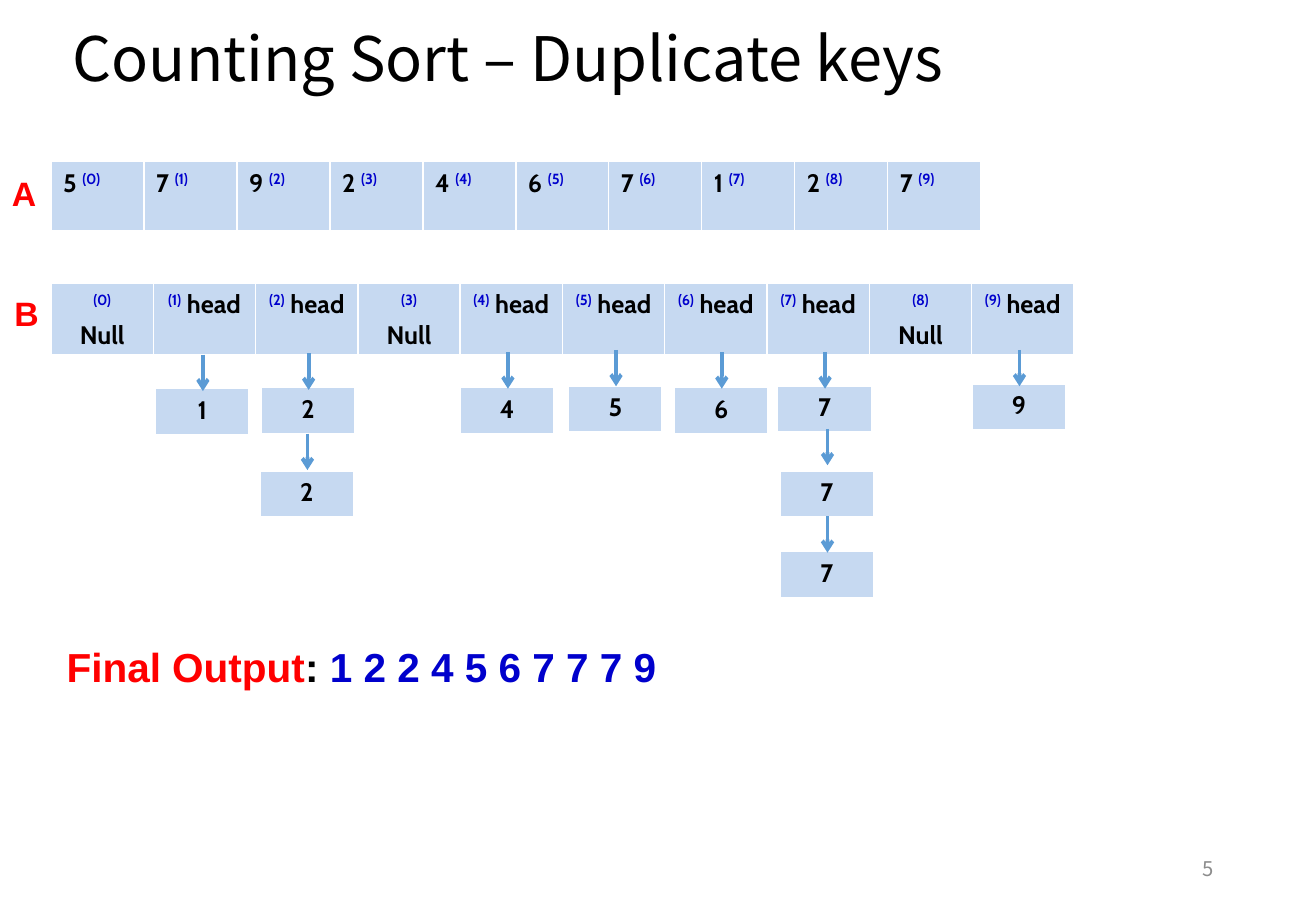
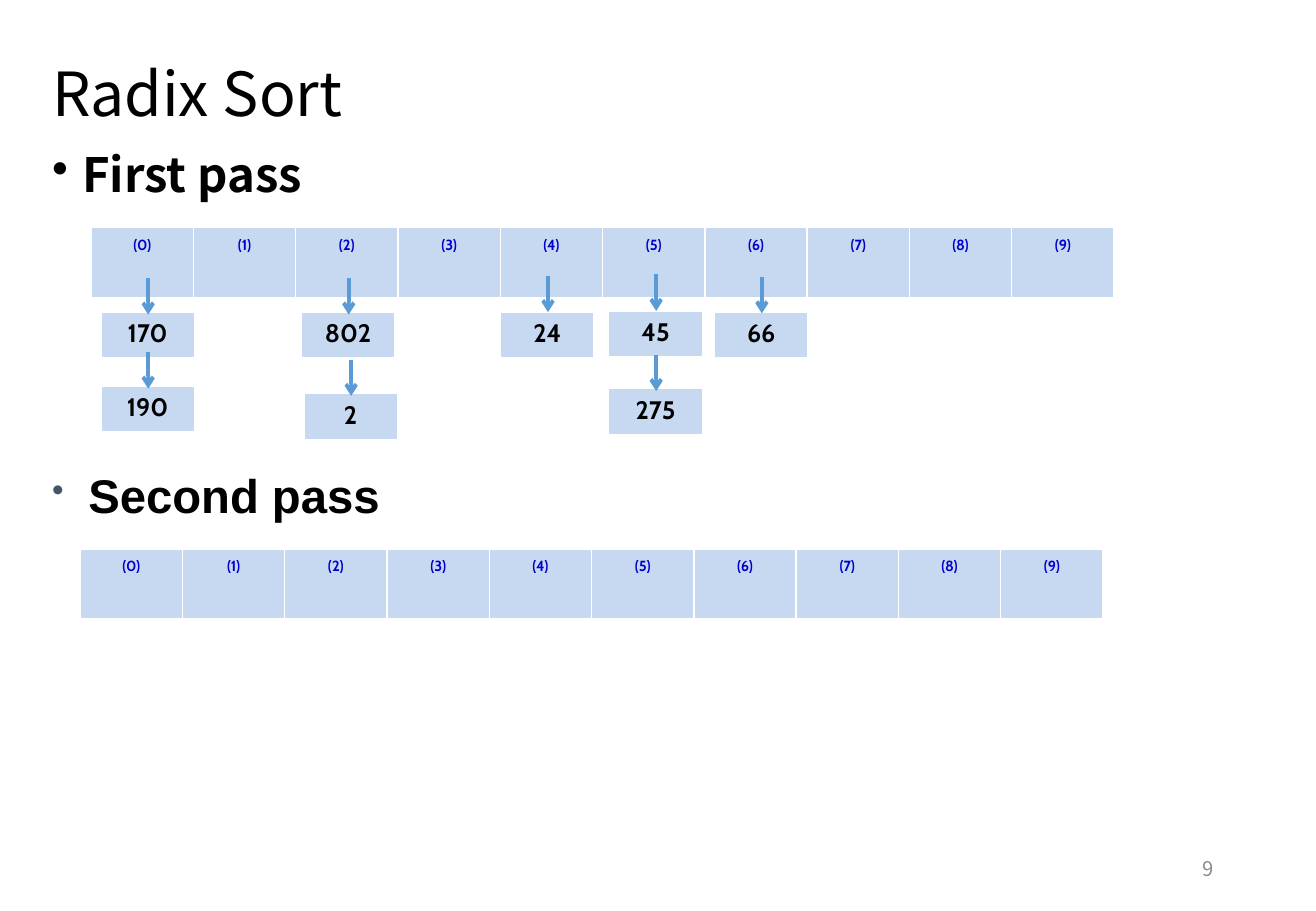
from lxml import etree
from pptx import Presentation
from pptx.dml.color import RGBColor
from pptx.enum.shapes import MSO_CONNECTOR
from pptx.enum.text import MSO_ANCHOR, MSO_AUTO_SIZE, PP_ALIGN
from pptx.oxml.ns import qn
from pptx.util import Emu, Pt

LEFT, CENTER, RIGHT = PP_ALIGN.LEFT, PP_ALIGN.CENTER, PP_ALIGN.RIGHT
MIDDLE = MSO_ANCHOR.MIDDLE
FIT_SHAPE = MSO_AUTO_SIZE.SHAPE_TO_FIT_TEXT
STRAIGHT = MSO_CONNECTOR.STRAIGHT

PX = 9144  # 100 px to the inch
COLORS = {
    "text": "000000", "key": "0000CC", "label": "FF0000", "cell": "C6D9F1",
    "border": "FFFFFF", "arrow": "5B9BD5", "number": "8C8C8C", "bullet": "44546A",
}
TITLE_FONT, CELL_FONT, LABEL_FONT = "Noto Sans CJK SC", "Cabin", "Arial"
CELL_SIZE = 15
BORDERS = {"a:lnL": 1, "a:lnR": 1, "a:lnT": 1, "a:lnB": 3}
NODE_W, NODE_H, ARROW_LEN = 77, 39, 30


def px(n):
    return Emu(n * PX)


def rgb(name):
    return RGBColor.from_string(COLORS[name])


# Text
def write(p, parts, font, size, bold=False, align=LEFT):
    """Fill a paragraph with (text, colour, raised) parts."""
    p.alignment = align
    for text, color, raised in parts:
        r = p.add_run()
        r.text = text
        f = r.font
        f.name, f.size, f.bold = font, Pt(size), bold
        f.color.rgb = rgb(color)
        if raised:
            r._r.get_or_add_rPr().set("baseline", "30000")


def add_text(slide, box, parts, font, size, bold=False, align=LEFT,
             spacing=None, anchor=None, fit=False):
    sp = slide.shapes.add_textbox(*map(px, box))
    tf = sp.text_frame
    tf.word_wrap = not fit
    if fit:
        tf.auto_size = FIT_SHAPE
    if anchor is not None:
        tf.vertical_anchor = anchor
    p = tf.paragraphs[0]
    if spacing:
        p.line_spacing = spacing
    write(p, parts, font, size, bold, align)
    return p


def add_title(slide, box, text, size):
    add_text(slide, box, [(text, "text", False)], TITLE_FONT, size,
             spacing=0.7, anchor=MIDDLE)


def add_number(slide, number):
    add_text(slide, (765, 695, 244, 40), [(number, "number", False)],
             TITLE_FONT, 12, align=RIGHT, anchor=MIDDLE)


def add_label(slide, box, parts, size):
    add_text(slide, box, parts, LABEL_FONT, size, bold=True, fit=True)


def add_heading(slide, box, text, font, indent, spacing=None, bullet=None):
    p = add_text(slide, box, [(text, "text", False)], font, 28, bold=True,
                 spacing=spacing)
    pPr = p._p.get_or_add_pPr()
    pPr.set("marL", str(px(indent)))
    pPr.set("indent", str(px(-indent)))
    if bullet:
        color = etree.SubElement(pPr, qn("a:buClr"))
        etree.SubElement(color, qn("a:srgbClr"), val=COLORS[bullet])
        etree.SubElement(pPr, qn("a:buSzPct"), val="73000")
    etree.SubElement(pPr, qn("a:buChar"), char="•")


# Rows of cells
def style_cell(cell):
    tcPr = cell._tc.get_or_add_tcPr()
    for tag, width in BORDERS.items():
        ln = etree.SubElement(tcPr, qn(tag), w=str(Pt(width)))
        fill = etree.SubElement(ln, qn("a:solidFill"))
        etree.SubElement(fill, qn("a:srgbClr"), val=COLORS["border"])
    cell.fill.solid()
    cell.fill.fore_color.rgb = rgb("cell")


def add_row(slide, box, cells, align=CENTER):
    """Draw a one-row table; each cell is a list of paragraphs."""
    x, y, w, h = map(px, box)
    table = slide.shapes.add_table(1, len(cells), x, y, w, h).table
    table.first_row = table.horz_banding = False
    for i, paragraphs in enumerate(cells):
        table.columns[i].width = Emu(w // len(cells))
        cell = table.cell(0, i)
        style_cell(cell)
        tf = cell.text_frame
        for j, parts in enumerate(paragraphs):
            p = tf.add_paragraph() if j else tf.paragraphs[0]
            write(p, parts, CELL_FONT, CELL_SIZE, True, align)


def key(i):
    return (f"({i})", "key", True)


def array_cells(values):
    return [[[(f"{v} ", "text", False), key(i)]] for i, v in enumerate(values)]


def head_cells(empty):
    return [[[key(i)], [("Null", "text", False)]] if i in empty
            else [[key(i), (" head", "text", False)]] for i in range(10)]


def key_cells():
    return [[[key(i)]] for i in range(10)]


# Linked nodes
def add_arrow(slide, x, tip):
    line = slide.shapes.add_connector(STRAIGHT, px(x), px(tip - ARROW_LEN),
                                      px(x), px(tip))
    line.line.color.rgb = rgb("arrow")
    line.line.width = Pt(2.25)
    etree.SubElement(line.line._get_or_add_ln(), qn("a:tailEnd"), type="arrow")
    etree.SubElement(line._element.spPr, qn("a:effectLst"))


def add_nodes(slide, nodes):
    """Draw (value, left, top, arrow tip) nodes with the arrow into each."""
    for value, x, y, tip in nodes:
        add_row(slide, (x, y, NODE_W, NODE_H), [[[(value, "text", False)]]])
        add_arrow(slide, x + NODE_W // 2 + 1, tip)


# Slides
def counting_sort(slide):
    add_number(slide, "5")
    add_title(slide, (50, 25, 792, 58), "Counting Sort – Duplicate keys", 36.3)
    add_label(slide, (0, 137, 40, 43), [("A", "label", False)], 20)
    add_row(slide, (42, 133, 765, 58),
            array_cells([5, 7, 9, 2, 4, 6, 7, 1, 2, 7]), LEFT)
    add_label(slide, (2, 236, 40, 43), [("B", "label", False)], 20)
    add_row(slide, (42, 233, 842, 58), head_cells({0, 3, 8}))
    add_nodes(slide, [
        ("1", 128, 320, 322),
        ("2", 215, 319, 321), ("2", 214, 388, 387),
        ("4", 379, 319, 320),
        ("5", 468, 318, 318),
        ("6", 555, 319, 320),
        ("7", 640, 318, 320), ("7", 642, 388, 383), ("7", 642, 454, 455),
        ("9", 800, 316, 318),
    ])
    add_label(slide, (45, 524, 547, 51), [
        ("Final Output", "label", False), (": ", "text", False),
        ("1 2 2 4 5 6 7 7 7 9", "key", False)], 24)


def radix_sort(slide):
    add_number(slide, "9")
    add_title(slide, (33, 54, 792, 58), "Radix Sort", 36)
    add_heading(slide, (33, 120, 900, 67), "First pass", TITLE_FONT, 25,
                spacing=0.9)
    add_row(slide, (75, 187, 842, 59), key_cells())
    add_nodes(slide, [
        ("170", 83, 257, 259), ("190", 83, 318, 320),
        ("802", 248, 257, 259), ("2", 250, 324, 326),
        ("24", 412, 257, 257),
        ("45", 501, 256, 256), ("275", 501, 320, 322),
        ("66", 588, 257, 258),
    ])
    add_heading(slide, (33, 379, 900, 67), "Second pass", LABEL_FONT, 30,
                bullet="bullet")
    add_row(slide, (66, 452, 842, 59), key_cells())


def main():
    prs = Presentation()
    prs.slide_width, prs.slide_height = px(1083), px(750)
    for build in (counting_sort, radix_sort):
        build(prs.slides.add_slide(prs.slide_layouts[6]))
    prs.save("out.pptx")


if __name__ == "__main__":
    main()
